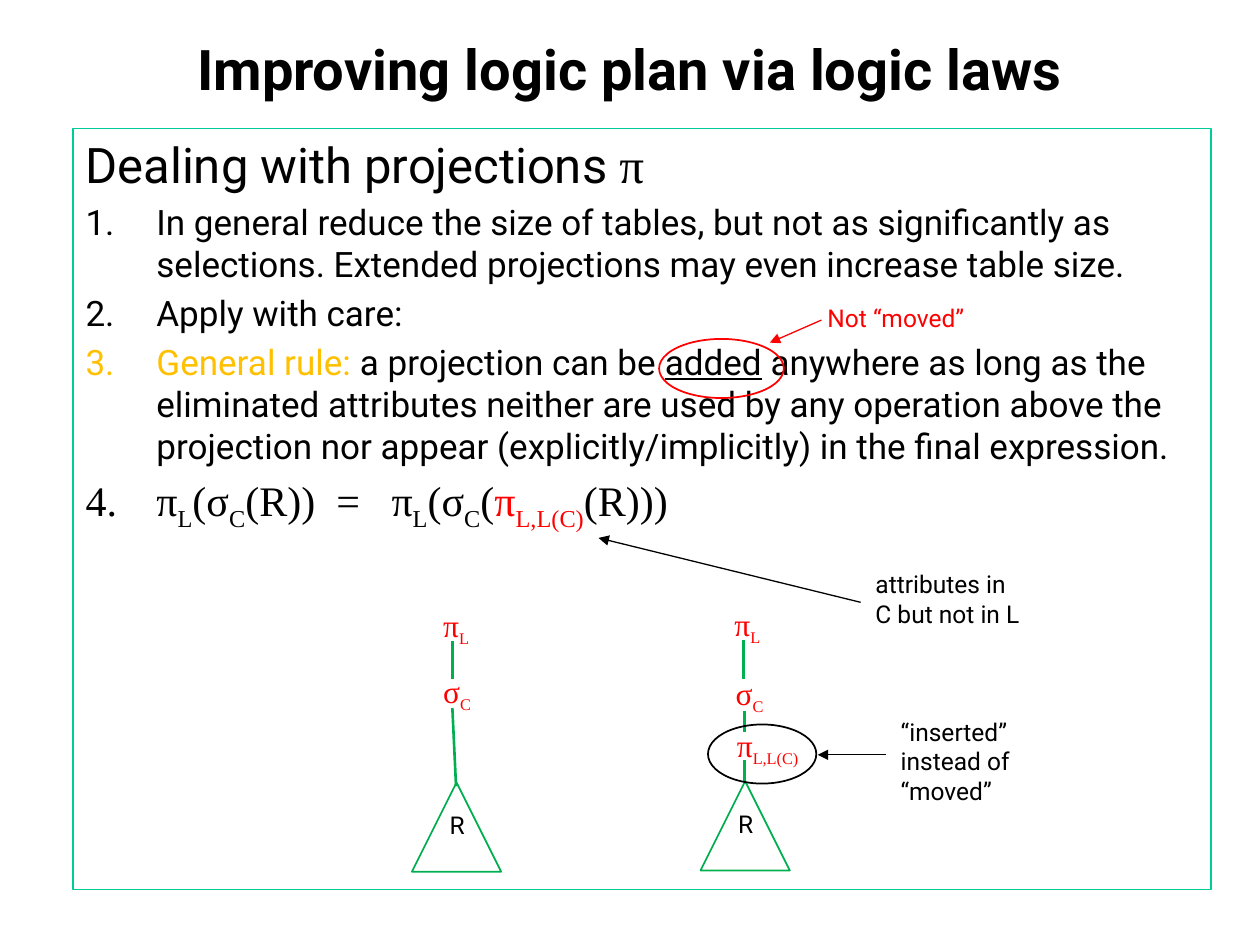
from pptx import Presentation
from pptx.dml.color import RGBColor
from pptx.enum.shapes import MSO_CONNECTOR, MSO_SHAPE
from pptx.enum.text import MSO_ANCHOR, PP_ALIGN
from pptx.oxml.ns import qn
from pptx.util import Pt
from lxml.etree import SubElement

HUES = {"black": "000000", "white": "FFFFFF", "red": "FF0000",
        "gold": "FFC000", "green": "00B050", "teal": "00CC99"}
SANS, SERIF = "Roboto", "Times New Roman"

FORMS = {
    "title": {"name": SANS, "size": Pt(32), "bold": True},
    "head": {"name": SANS, "size": Pt(28)},
    "pi": {"name": SERIF, "size": Pt(28)},
    "body": {"name": SANS, "size": Pt(20)},
    "line": {"name": SANS, "size": Pt(20), "underline": True},
    "math": {"name": SERIF, "size": Pt(24)},
    "node": {"name": SERIF, "size": Pt(18)},
    "small": {"name": SERIF, "size": Pt(16)},
    "note": {"name": SANS, "size": Pt(14)},
}
SUB = {"baseline": "-25000"}

TITLE = [[("Improving logic plan via logic laws", "title")]]
HEAD = [("Dealing with projections ", "head"), ("π", "pi")]
RULES = [
    [("In general reduce the size of tables, but not as significantly as "
      "selections. Extended projections may even increase table size.", "body")],
    [("Apply with care:", "body")],
    [("General rule: ", "body", "gold"), ("a projection can be ", "body"),
     ("added", "line"),
     (" anywhere as long as the eliminated attributes neither are used by any "
      "operation above the projection nor appear (explicitly/implicitly) in "
      "the final expression.", "body")],
    [("π", "math"), ("L", "math", "black", SUB), ("(σ", "math"),
     ("C", "math", "black", SUB), ("(R))", "math"),
     (" ", "math", "black", {"spc": "600"}), ("=", "math"),
     (" ", "math", "black", {"spc": "1200"}), ("π", "math"),
     ("L", "math", "black", SUB), ("(σ", "math"), ("C", "math", "black", SUB),
     ("(", "math"), ("π", "math", "red"), ("L,L(C)", "math", "red", SUB),
     ("(R)))", "math")],
]

TREES = [
    {"leaf": (235.4, 447.1),
     "nodes": [("π", "L", 246.2, 342.7, 35), ("σ", "C", 246.2, 380.2, 35)],
     "links": [(260.6, 449.3, 258.5, 404.6), (258.5, 388.1, 258.5, 366.5)]},
    {"leaf": (400.3, 446.4),
     "nodes": [("π", "L", 412.6, 342, 35), ("σ", "C", 413.3, 381.6, 35),
               ("π", "L,L(C)", 414, 411.1, 63.4)],
     "links": [(424.8, 388.1, 424.8, 365.8), (425.5, 446.4, 425.5, 434.2),
               (425.5, 418.3, 425.5, 406.1)]},
]
NOTES = [
    (["attributes in", "C but not in L"], "black", (493.2, 321.8, 98.6, 41)),
    (["Not “moved”"], "red", (465.8, 169.9, 93.6, 24.5)),
    (["“inserted”", "instead of", "“moved”"], "black", (507.6, 406.1, 82.1, 58.3)),
]
RINGS = [("red", (376.6, 193.7, 71.3, 33.8)), ("black", (404.6, 414, 61.9, 33.8))]
ARROWS = [("black", (491.8, 344.2, 342, 307.4)),
          ("red", (469.4, 182.9, 439.9, 195.8)),
          ("black", (506.2, 431.3, 467.3, 431.3))]


def tint(hue):
    return RGBColor.from_string(HUES[hue])


def write(para, runs):
    for text, form, *rest in runs:
        hue, marks = rest + ["black", {}][len(rest):]
        run = para.add_run()
        run.text = text
        for key, val in FORMS[form].items():
            setattr(run.font, key, val)
        run.font.color.rgb = tint(hue)
        for key, val in marks.items():
            run._r.get_or_add_rPr().set(key, val)


def label(box, paras):
    frame = shapes.add_textbox(*map(Pt, box)).text_frame
    frame.word_wrap = True
    for i, runs in enumerate(paras):
        write(frame.add_paragraph() if i else frame.paragraphs[0], runs)
    return frame


def shape(kind, box, hue, fill=None):
    item = shapes.add_shape(kind, *map(Pt, box))
    item.shadow.inherit = False
    if fill:
        item.fill.solid()
        item.fill.fore_color.rgb = tint(fill)
    else:
        item.fill.background()
    item.line.color.rgb = tint(hue)
    item.line.width = Pt(1)
    return item


def link(ends, hue, width, arrow=False):
    item = shapes.add_connector(MSO_CONNECTOR.STRAIGHT, *map(Pt, ends))
    item.line.color.rgb = tint(hue)
    item.line.width = Pt(width)
    props = item._element.spPr
    if arrow:
        SubElement(props.find(qn("a:ln")), qn("a:tailEnd"), type="triangle")
    SubElement(props, qn("a:effectLst"))


deck = Presentation()
deck.slide_width, deck.slide_height = Pt(720), Pt(540)
shapes = deck.slides.add_slide(deck.slide_layouts[6]).shapes

frame = label((54, 18.7, 612, 41), TITLE)
frame.vertical_anchor = MSO_ANCHOR.MIDDLE
frame.paragraphs[0].alignment = PP_ALIGN.CENTER

frame = shape(MSO_SHAPE.RECTANGLE, (41.8, 73.4, 650.2, 434.9), "teal").text_frame
frame.word_wrap = True
frame.vertical_anchor = MSO_ANCHOR.TOP
frame.paragraphs[0].alignment = PP_ALIGN.LEFT
write(frame.paragraphs[0], HEAD)
for runs in RULES:
    para = frame.add_paragraph()
    para.alignment = PP_ALIGN.LEFT
    para.space_before = Pt(FORMS[runs[0][1]]["size"].pt * 0.2)
    props = para._p.get_or_add_pPr()
    props.set("marL", str(Pt(40.5)))
    props.set("indent", str(-Pt(40.5)))
    SubElement(props, qn("a:buFont"), typeface="+mj-lt")
    SubElement(props, qn("a:buAutoNum"), type="arabicPeriod")
    write(para, runs)

for tree in TREES:
    x, y = tree["leaf"]
    shape(MSO_SHAPE.ISOSCELES_TRIANGLE, (x, y, 51, 51), "green", "white")
    label((x + 14.4, y + 12.2, 24, 24.5), [[("R", "note")]])
    for ends in tree["links"]:
        link(ends, "green", 1.5)
    for sign, sub, x, y, wide in tree["nodes"]:
        label((x, y, wide, 29),
              [[(sign, "node", "red"), (sub, "small", "red", SUB)]])

for hue, box in RINGS:
    shape(MSO_SHAPE.OVAL, box, hue)
for lines, hue, box in NOTES:
    label(box, [[(text, "note", hue)] for text in lines])
for hue, ends in ARROWS:
    link(ends, hue, 0.75, True)

deck.save("out.pptx")
